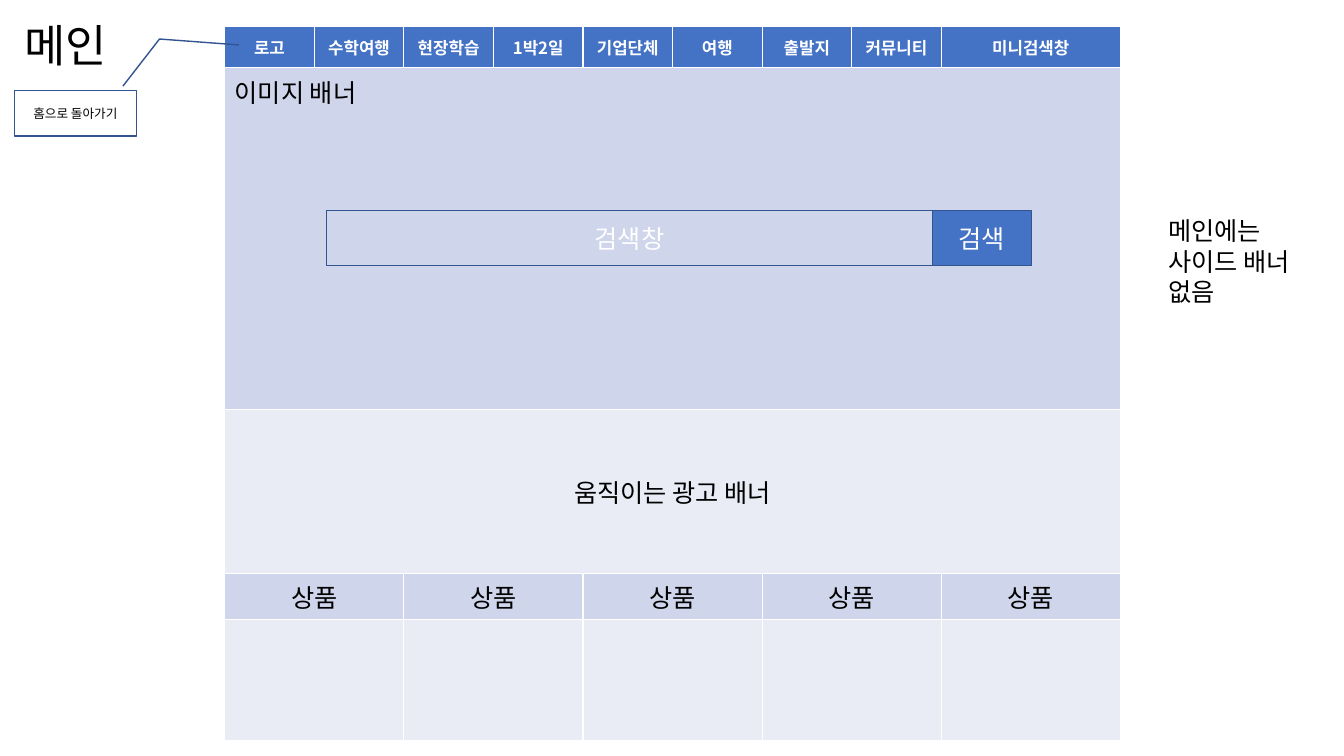
from pptx import Presentation
from pptx.dml.color import RGBColor
from pptx.enum.shapes import MSO_SHAPE
from pptx.enum.text import MSO_ANCHOR, PP_ALIGN
from pptx.oxml.ns import qn
from pptx.util import Pt
from lxml.etree import SubElement

FONT = "Noto Sans CJK KR"
BLUE, OUTLINE, BAND, PALE = "4472C4", "325491", "CFD5EA", "E9EBF5"
BLACK, WHITE = "000000", "FFFFFF"


def color(value):
    return RGBColor.from_string(value)


def write(frame, lines, size, ink, align=PP_ALIGN.CENTER, bold=False):
    for index, line in enumerate(lines):
        para = frame.add_paragraph() if index else frame.paragraphs[0]
        para.alignment = align
        span = para.add_run()
        span.text = line
        span.font.size = Pt(size)
        span.font.bold = bold
        span.font.color.rgb = color(ink)
        span.font.name = FONT
        SubElement(span.font._element, qn("a:ea"), typeface=FONT)


deck = Presentation()
deck.slide_width, deck.slide_height = Pt(960), Pt(540)
page = deck.slides.add_slide(deck.slide_layouts[5])

row_heights = [29.5, 244, 117, 33, 86]
column_widths = [64] * 8 + [128]
table = page.shapes.add_table(
    len(row_heights), len(column_widths), Pt(160.5), Pt(19),
    Pt(sum(column_widths)), Pt(sum(row_heights))).table
for row, height in zip(table.rows, row_heights):
    row.height = Pt(height)
for column, width in zip(table.columns, column_widths):
    column.width = Pt(width)

for row, fill in zip(table.rows, [BLUE, BAND, PALE, BAND, PALE]):
    for cell in row.cells:
        cell.fill.solid()
        cell.fill.fore_color.rgb = color(fill)

menu = ["로고", "수학여행", "현장학습", "1박2일", "기업단체", "여행", "출발지",
        "커뮤니티", "미니검색창"]
for column, label in enumerate(menu):
    cell = table.cell(0, column)
    cell.vertical_anchor = MSO_ANCHOR.MIDDLE
    write(cell.text_frame, [label], 12, WHITE, bold=True)

for row in (1, 2):
    table.cell(row, 0).merge(table.cell(row, 8))
write(table.cell(1, 0).text_frame, ["이미지 배너"], 18, BLACK, PP_ALIGN.LEFT)
table.cell(2, 0).vertical_anchor = MSO_ANCHOR.MIDDLE
write(table.cell(2, 0).text_frame, ["움직이는 광고 배너"], 18, BLACK)

for column in range(0, 9, 2):
    if column < 8:
        for row in (3, 4):
            table.cell(row, column).merge(table.cell(row, column + 1))
    write(table.cell(3, column).text_frame, ["상품"], 18, BLACK)

boxes = [
    (MSO_SHAPE.RECTANGLE, 233.3, 150.5, 432.7, 39, None, "검색창", 18, WHITE),
    (MSO_SHAPE.RECTANGLE, 666, 150.5, 70.6, 39, BLUE, "검색", 18, WHITE),
    (MSO_SHAPE.LINE_CALLOUT_2, 10.2, 64.8, 87.2, 32.4, None, "홈으로 돌아가기", 9, BLACK),
]
for kind, left, top, width, height, fill, label, size, ink in boxes:
    box = page.shapes.add_shape(kind, Pt(left), Pt(top), Pt(width), Pt(height))
    box.shadow.inherit = False
    if fill:
        box.fill.solid()
        box.fill.fore_color.rgb = color(fill)
    else:
        box.fill.background()
    box.line.color.rgb = color(OUTLINE)
    box.line.width = Pt(1)
    box.text_frame.vertical_anchor = MSO_ANCHOR.MIDDLE
    write(box.text_frame, [label], size, ink)
    if kind == MSO_SHAPE.LINE_CALLOUT_2:
        for index, value in enumerate([-0.1, 0.89, -1.14, 1.19, -1.01, 1.84]):
            box.adjustments[index] = value

note = page.shapes.add_textbox(Pt(827.3), Pt(150.5), Pt(132), Pt(72.7))
note.text_frame.word_wrap = True
write(note.text_frame, ["메인에는", "사이드 배너", "없음"], 18, BLACK, PP_ALIGN.LEFT)

title = page.shapes.title
title.left, title.top, title.width, title.height = Pt(10), Pt(8.6), Pt(204.5), Pt(46)
title.text_frame.vertical_anchor = MSO_ANCHOR.MIDDLE
write(title.text_frame, ["메인"], 32, BLACK, PP_ALIGN.LEFT)

deck.save("out.pptx")
